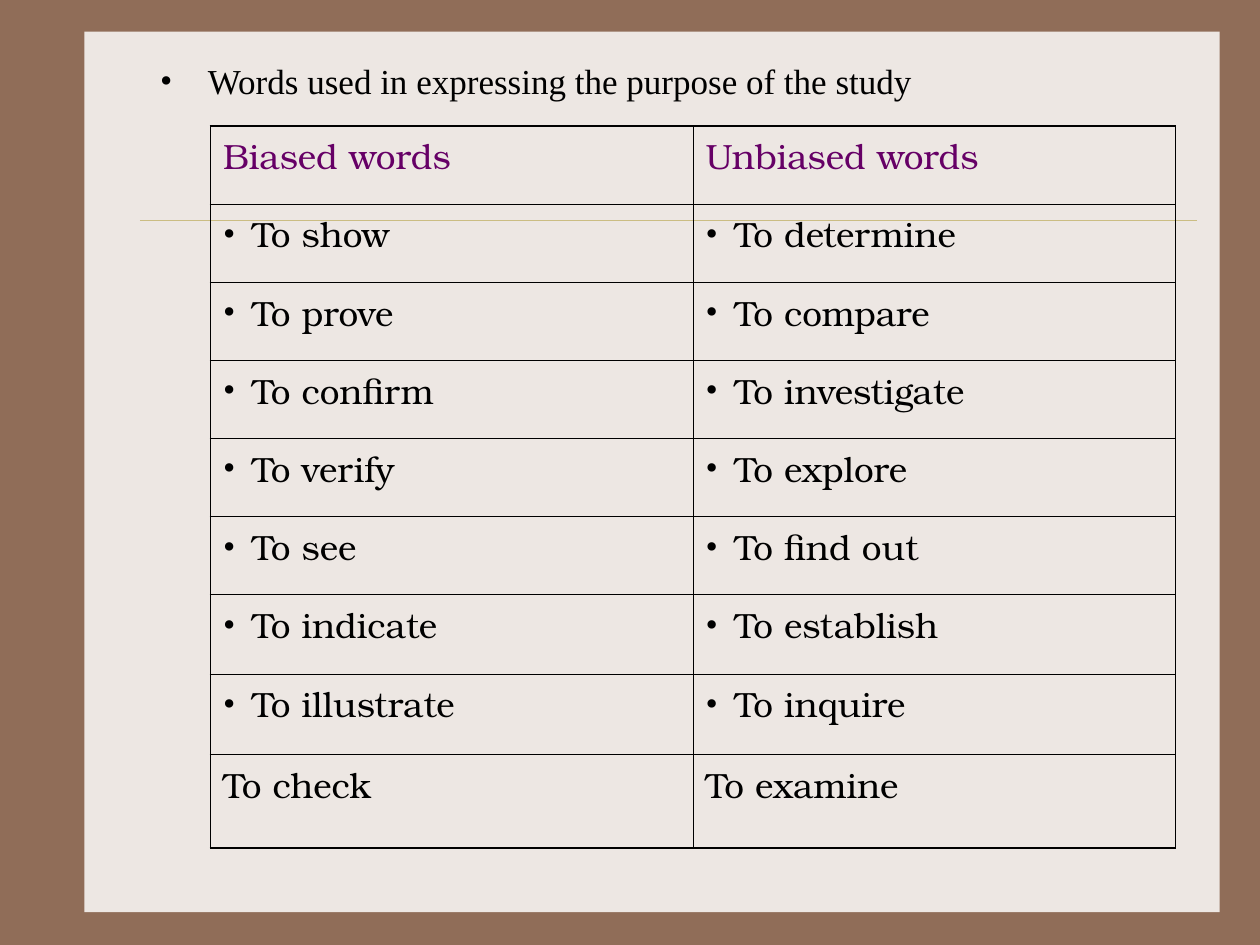
from lxml.etree import SubElement
from pptx import Presentation
from pptx.dml.color import RGBColor
from pptx.enum.shapes import MSO_CONNECTOR, MSO_SHAPE
from pptx.oxml.ns import qn
from pptx.util import Inches, Pt

COLORS = {"frame": "906D58", "panel": "EDE7E3", "rule": "CBBD83",
          "ink": "000000", "heading": "660066"}
HEADINGS = ("Biased words", "Unbiased words")
WORD_PAIRS = [
    ("To show", "To determine"), ("To prove", "To compare"),
    ("To confirm", "To investigate"), ("To verify", "To explore"),
    ("To see", "To find out"), ("To indicate", "To establish"),
    ("To illustrate", "To inquire"), ("To check", "To examine"),
]
ROW_HEIGHTS = [0.62] * 6 + [0.63, 0.64, 0.74]
COLUMN_WIDTH = 3.83
THIN, THICK = 0.45, 1.08


def rgb(name):
    return RGBColor.from_string(COLORS[name])


def add_solid(parent, color):
    fill = SubElement(parent, qn("a:solidFill"))
    SubElement(fill, qn("a:srgbClr"), val=COLORS[color])


def add_bullet(paragraph, indent):
    props = paragraph._p.get_or_add_pPr()
    props.set("marL", str(Inches(indent)))
    props.set("indent", str(-Inches(indent)))
    color = SubElement(props, qn("a:buClr"))
    SubElement(color, qn("a:srgbClr"), val=COLORS["ink"])
    SubElement(props, qn("a:buFont"), typeface="Times New Roman")
    SubElement(props, qn("a:buChar"), char="•")


def write(frame, text, font_name, color="ink", bullet_indent=None):
    frame.text = text
    paragraph = frame.paragraphs[0]
    paragraph.space_before = Pt(5)
    if bullet_indent:
        add_bullet(paragraph, bullet_indent)
    font = paragraph.font
    font.name, font.size = font_name, Pt(20)
    font.color.rgb = rgb(color)


def set_borders(cell, widths):
    """Set the left, right, top and bottom border widths in points."""
    props = cell._tc.get_or_add_tcPr()
    for side, width in zip("LRTB", widths):
        border = SubElement(props, qn(f"a:ln{side}"), w=str(Pt(width)))
        add_solid(border, "ink")


def add_backdrop(slide):
    slide.background.fill.solid()
    slide.background.fill.fore_color.rgb = rgb("frame")
    panel = slide.shapes.add_shape(
        MSO_SHAPE.RECTANGLE, Inches(0.67), Inches(0.25), Inches(9.01), Inches(6.99))
    panel.shadow.inherit = False
    panel.fill.solid()
    panel.fill.fore_color.rgb = rgb("panel")
    panel.line.fill.background()
    rule = slide.shapes.add_connector(
        MSO_CONNECTOR.STRAIGHT, Inches(1.11), Inches(1.75), Inches(9.5), Inches(1.75))
    rule.line.color.rgb = rgb("rule")
    rule.line.width = Pt(0.25)
    SubElement(rule._element.spPr, qn("a:effectLst"))


def place_intro(slide):
    intro = slide.placeholders[1]
    intro.left, intro.top = Inches(1.17), Inches(0.42)
    intro.width, intro.height = Inches(8.33), Inches(6)
    write(intro.text_frame, "Words used in expressing the purpose of the study",
          "Times New Roman", bullet_indent=0.38)
    slide.shapes._spTree.append(intro._element)  # in front of the backdrop


def add_word_table(slide):
    rows = [HEADINGS, *WORD_PAIRS]
    last = len(rows) - 1
    table = slide.shapes.add_table(
        len(rows), 2, Inches(1.67), Inches(1),
        Inches(2 * COLUMN_WIDTH), Inches(sum(ROW_HEIGHTS))).table
    table.first_row = table.horz_banding = False
    for column in table.columns:
        column.width = Inches(COLUMN_WIDTH)
    for r, words in enumerate(rows):
        table.rows[r].height = Inches(ROW_HEIGHTS[r])
        for c, word in enumerate(words):
            cell = table.cell(r, c)
            write(cell.text_frame, word, "TeX Gyre Bonum",
                  "heading" if r == 0 else "ink",
                  0.23 if 0 < r < last else None)
            outer_sides = (c == 0, c == 1, r == 0, r == last)
            set_borders(cell, [THICK if outer else THIN for outer in outer_sides])
            cell.fill.background()


def main():
    deck = Presentation()
    deck.slide_width, deck.slide_height = Inches(10), Inches(7.5)
    slide = deck.slides.add_slide(deck.slide_layouts[1])
    title = slide.shapes.title._element
    title.getparent().remove(title)
    add_backdrop(slide)
    place_intro(slide)
    add_word_table(slide)
    deck.save("out.pptx")


if __name__ == "__main__":
    main()
